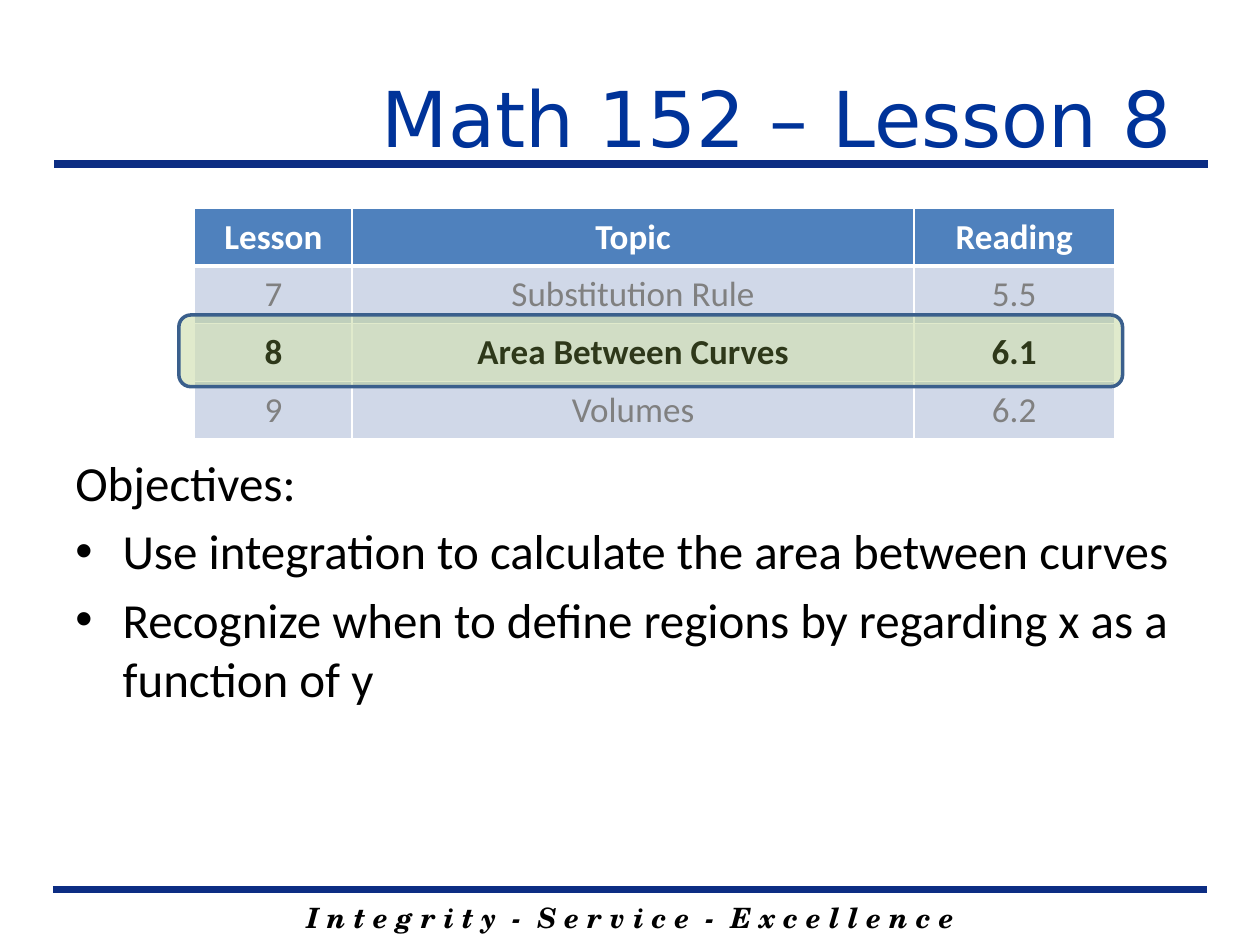
from lxml import etree
from pptx import Presentation
from pptx import util as u
from pptx.dml.color import RGBColor
from pptx.enum import shapes, text
from pptx.oxml.ns import qn

Pt = u.Pt
NAVY, WHITE, BLACK, GRAY = "0C2D83", "FFFFFF", "000000", "808080"
ALIGN, ANCHOR = text.PP_ALIGN, text.MSO_ANCHOR


def rgb(value):
    return RGBColor.from_string(value)


def write(paragraph, words, color, align, **font_format):
    paragraph.text = words
    paragraph.alignment = align
    for name, value in font_format.items():
        setattr(paragraph.font, name, value)
    paragraph.font.color.rgb = rgb(color)


lesson_deck = Presentation()
lesson_deck.slide_width, lesson_deck.slide_height = Pt(720), Pt(540)
slide = lesson_deck.slides.add_slide(lesson_deck.slide_layouts[6])

# Motto at the foot
motto = slide.shapes.add_textbox(Pt(102.2), Pt(511.2), Pt(516.2), Pt(26.6)).text_frame
motto.word_wrap = True
write(motto.paragraphs[0], "I n t e g r i t y  -  S e r v i c e  -  E x c e l l e n c e", BLACK,
      ALIGN.CENTER, name="TeX Gyre Schola", size=Pt(16), bold=True, italic=True)

# Rules above the motto and under the title
for left, y in ((30.2, 508.3), (31, 93.6)):
    rule = slide.shapes.add_connector(shapes.MSO_CONNECTOR.STRAIGHT,
                                      Pt(left), Pt(y), Pt(left + 659.5), Pt(y))
    rule.line.color.rgb = rgb(NAVY)
    rule.line.width = Pt(4.5)
    etree.SubElement(rule._element.spPr, qn("a:effectLst"))

# Title
title = slide.shapes.add_textbox(Pt(129.6), Pt(21.6), Pt(561.6), Pt(90)).text_frame
title_format = {"word_wrap": True, "vertical_anchor": ANCHOR.MIDDLE, "margin_right": Pt(21.2)}
for name, value in title_format.items():
    setattr(title, name, value)
write(title.paragraphs[0], "Math 152 – Lesson 8", "003399", ALIGN.RIGHT,
      name="DejaVu Sans", size=Pt(44))

# Objectives
objectives = slide.shapes.add_textbox(Pt(36), Pt(254.9), Pt(648), Pt(227.5)).text_frame
objectives.word_wrap = True
goals = ("Objectives:",
         "Use integration to calculate the area between curves",
         "Recognize when to define regions by regarding x as a function of y")
for index, goal in enumerate(goals):
    line = objectives.add_paragraph() if index else objectives.paragraphs[0]
    if index:
        line.space_before = Pt(5.6)
        indent = line._p.get_or_add_pPr()
        indent.set("marL", str(Pt(27)))
        indent.set("indent", str(-Pt(27)))
        etree.SubElement(indent, qn("a:buFont"), typeface="Arial")
        etree.SubElement(indent, qn("a:buChar"), char="•")
    write(line, goal, BLACK, ALIGN.LEFT, name="Calibri", size=Pt(28))

# Lesson schedule: cell texts, fill, text color, bold
schedule_rows = (
    (("Lesson", "Topic", "Reading"), "4F81BD", WHITE, True),
    (("7", "Substitution Rule", "5.5"), "D0D8E8", GRAY, False),
    (("8", "Area Between Curves", "6.1"), "E9EDF4", BLACK, True),
    (("9", "Volumes", "6.2"), "D0D8E8", GRAY, False),
)
schedule = slide.shapes.add_table(4, 3, Pt(111.2), Pt(119), Pt(525.6), Pt(132)).table
for column, width in zip(schedule.columns, (90, 321.1, 114.5)):
    column.width = Pt(width)
for r, (words, fill, color, bold) in enumerate(schedule_rows):
    schedule.rows[r].height = Pt(33)
    for c, word in enumerate(words):
        cell = schedule.cell(r, c)
        cell.vertical_anchor = ANCHOR.MIDDLE
        # The border between header and body is the thick one
        for side, width in (("L", 1), ("R", 1), ("T", 3 if r == 1 else 1), ("B", 1 if r else 3)):
            border = etree.SubElement(cell._tc.get_or_add_tcPr(), qn(f"a:ln{side}"),
                                      w=str(Pt(width)))
            etree.SubElement(etree.SubElement(border, qn("a:solidFill")),
                             qn("a:srgbClr"), val=WHITE)
        cell.fill.solid()
        cell.fill.fore_color.rgb = rgb(fill)
        write(cell.text_frame.paragraphs[0], word, color, ALIGN.CENTER,
              name="Calibri", size=Pt(20), bold=bold)

# Highlight over today's lesson
today = slide.shapes.add_shape(shapes.MSO_SHAPE.ROUNDED_RECTANGLE,
                               Pt(102.2), Pt(180), Pt(539.3), Pt(41))
today.shadow.inherit = False
today.fill.solid()
today.fill.fore_color.rgb = rgb("9BBB59")
tint = today.fill._xPr.find(qn("a:solidFill"))[0]
etree.SubElement(tint, qn("a:alpha"), val="30000")
today.line.color.rgb = rgb("3A5F8C")
today.line.width = Pt(2)

lesson_deck.save("out.pptx")
